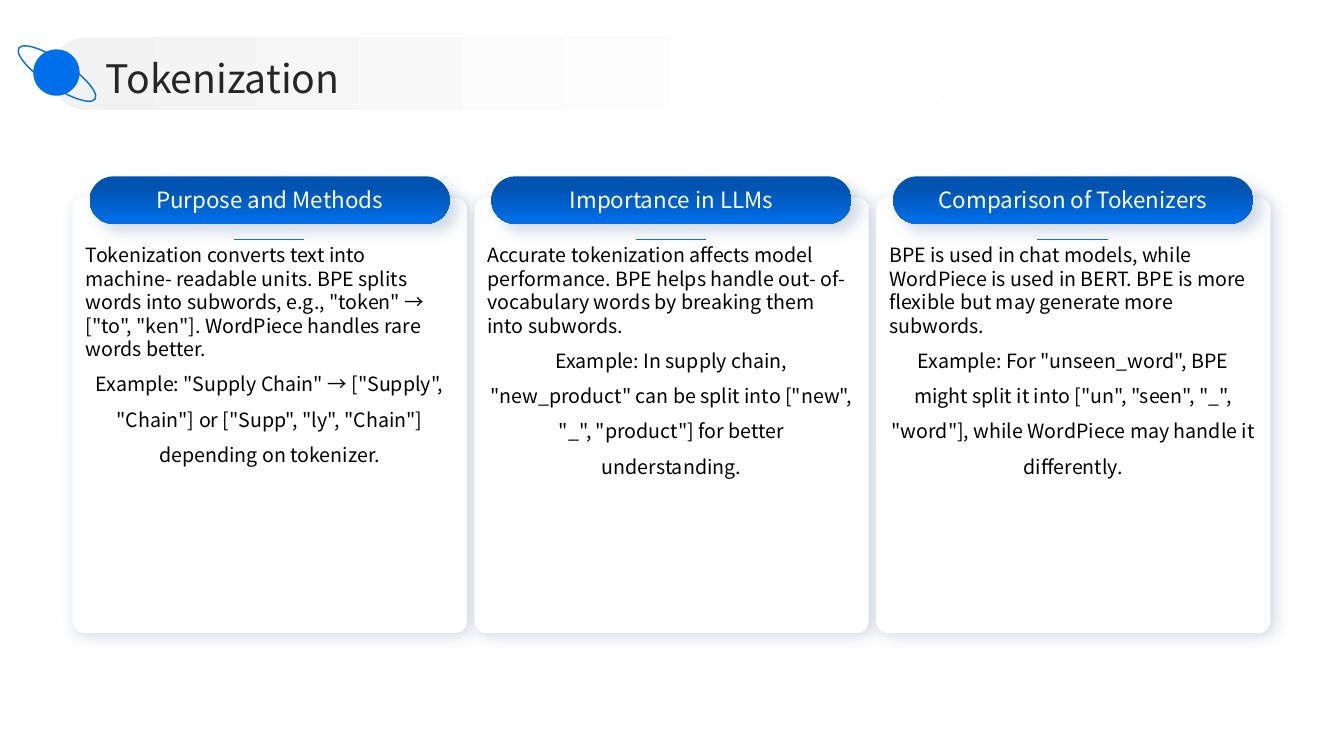
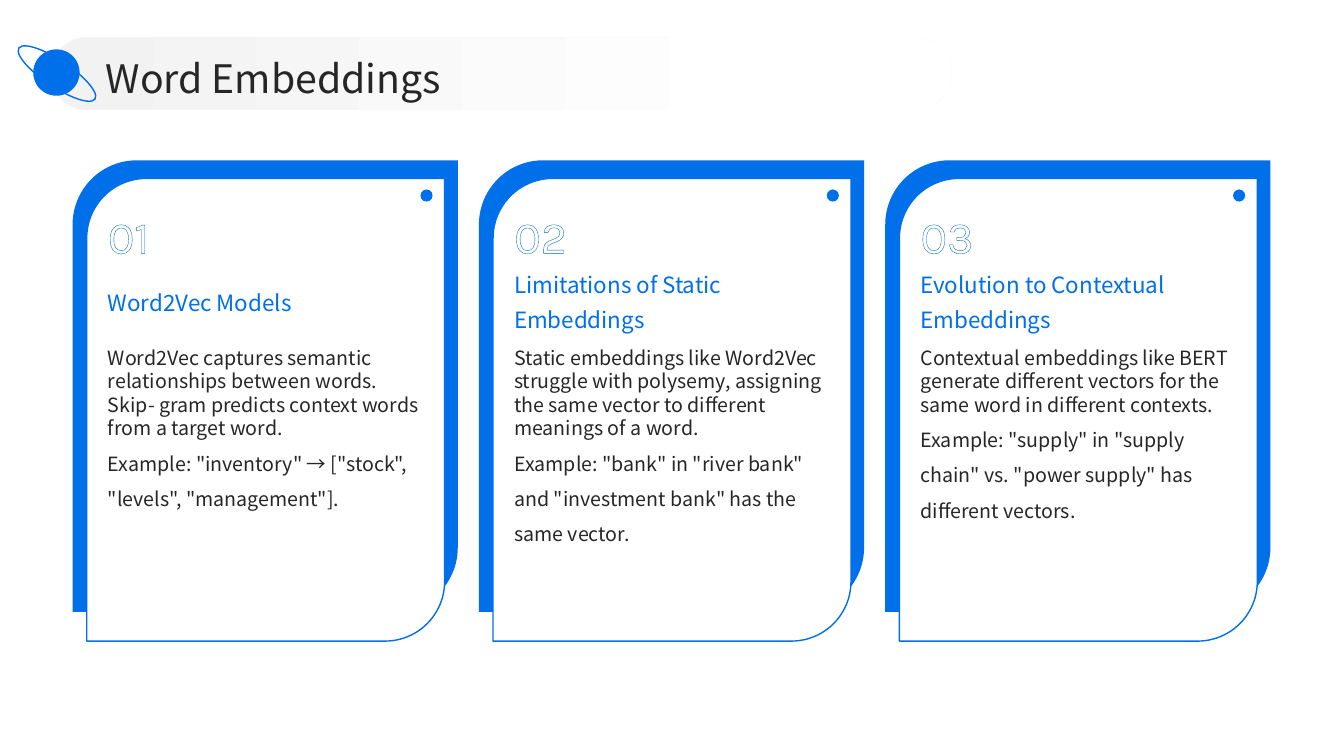
import pptx
import pptx.dml.color
import pptx.enum.shapes
import pptx.enum.text
import pptx.oxml
import pptx.oxml.ns
import pptx.util

Inches = pptx.util.Inches
Pt = pptx.util.Pt
RGBColor = pptx.dml.color.RGBColor
SHAPE = pptx.enum.shapes.MSO_SHAPE
ALIGN = pptx.enum.text.PP_ALIGN
ANCHOR = pptx.enum.text.MSO_ANCHOR

# Shared colours and fonts
BLUE = RGBColor(0x00, 0x6F, 0xEA)
DEEP_BLUE = RGBColor(0x00, 0x53, 0xB0)
OUTLINE_BLUE = RGBColor(0x00, 0x68, 0xBF)
SHADOW_BLUE = RGBColor(0x00, 0x37, 0x75)
WHITE = RGBColor(0xFF, 0xFF, 0xFF)
BLACK = RGBColor(0x00, 0x00, 0x00)
INK = RGBColor(0x26, 0x26, 0x26)
PALE_GREY = RGBColor(0xF2, 0xF2, 0xF2)
SANS = "Noto Sans CJK SC"

# Text styles: font values, colour and paragraph values
TITLE = ({"name": SANS, "size": Pt(28)}, INK,
         {"alignment": ALIGN.LEFT, "line_spacing": 1.1})
PILL = ({"name": SANS, "size": Pt(16)}, WHITE, {"alignment": ALIGN.CENTER})
HEADING = ({"name": SANS, "size": Pt(16)}, BLUE, {"line_spacing": 1.3})
NUMBER = ({"name": "Karla", "size": Pt(32)}, WHITE, {"line_spacing": 1.3})
BODY_FONT = {"name": SANS, "size": Pt(14)}
LEAD = {"alignment": ALIGN.LEFT, "line_spacing": 1.0}

# Content area shared by both rows of cards
LEFT, RIGHT = 0.72, 12.6

TOKEN_CARDS = [
    ("Purpose and Methods",
     'Tokenization converts text into machine- readable units. BPE splits words into '
     'subwords, e.g., "token" → ["to", "ken"]. WordPiece handles rare words better.',
     'Example: "Supply Chain" → ["Supply", "Chain"] or ["Supp", "ly", "Chain"] '
     'depending on tokenizer.'),
    ("Importance in LLMs",
     'Accurate tokenization affects model performance. BPE helps handle out- of- '
     'vocabulary words by breaking them into subwords.',
     'Example: In supply chain, "new_product" can be split into ["new", "_", "product"] '
     'for better understanding.'),
    ("Comparison of Tokenizers",
     'BPE is used in chat models, while WordPiece is used in BERT. BPE is more flexible '
     'but may generate more subwords.',
     'Example: For "unseen_word", BPE might split it into ["un", "seen", "_", "word"], '
     'while WordPiece may handle it differently.'),
]
EMBEDDING_CARDS = [
    ("Word2Vec Models",
     'Word2Vec captures semantic relationships between words. Skip- gram predicts '
     'context words from a target word.',
     'Example: "inventory" → ["stock", "levels", "management"].'),
    ("Limitations of Static Embeddings",
     'Static embeddings like Word2Vec struggle with polysemy, assigning the same vector '
     'to different meanings of a word.',
     'Example: "bank" in "river bank" and "investment bank" has the same vector.'),
    ("Evolution to Contextual Embeddings",
     'Contextual embeddings like BERT generate different vectors for the same word in '
     'different contexts.',
     'Example: "supply" in "supply chain" vs. "power supply" has different vectors.'),
]


def inches(*lengths):
    return [Inches(length) for length in lengths]


def card_lefts(width, count):
    """Left edges of equal cards spread over the content area."""
    pitch = (RIGHT - LEFT - width) / (count - 1)
    return [LEFT + pitch * column for column in range(count)]


# Shapes
def add_shape(shapes, kind, place, fill=None, line=None, corner=None):
    shape = shapes.add_shape(kind, *inches(*place))
    shape.shadow.inherit = False
    if fill is None:
        shape.fill.background()
    else:
        shape.fill.solid()
        shape.fill.fore_color.rgb = fill
    if line is None:
        shape.line.fill.background()
    else:
        shape.line.color.rgb = line
        shape.line.width = Pt(1)
    if corner is not None:
        shape.adjustments[0] = corner
    return shape


def set_gradient(shape, angle, stops):
    shape.fill.gradient()
    shape.fill.gradient_angle = angle
    for stop, (position, colour) in zip(shape.fill.gradient_stops, stops):
        stop.position = position
        stop.color.rgb = colour


def set_shadow(shape, blur, distance):
    effects = shape.element.spPr.find(pptx.oxml.ns.qn("a:effectLst"))
    effects.append(pptx.oxml.parse_xml(
        f'<a:outerShdw {pptx.oxml.ns.nsdecls("a")} blurRad="{Pt(blur)}" '
        f'dist="{Pt(distance)}" dir="2700000" algn="tl" rotWithShape="0">'
        f'<a:srgbClr val="{SHADOW_BLUE}"><a:alpha val="19000"/></a:srgbClr>'
        '</a:outerShdw>'))


def add_rule(slide, left, top, length):
    rule = slide.shapes.add_connector(
        pptx.enum.shapes.MSO_CONNECTOR.STRAIGHT, *inches(left, top, left + length, top))
    rule.line.color.rgb = BLUE
    rule.line.width = Pt(0.5)
    rule.element.spPr.append(pptx.oxml.parse_xml(
        f'<a:effectLst {pptx.oxml.ns.nsdecls("a")}/>'))


# Text
def write(box, paragraphs, anchor=ANCHOR.TOP):
    """Fill a box with (text, style) pairs, one paragraph each."""
    frame = box.text_frame
    values = {"word_wrap": True, "vertical_anchor": anchor,
              "auto_size": pptx.enum.text.MSO_AUTO_SIZE.NONE,
              "margin_left": 0, "margin_top": 0, "margin_right": 0, "margin_bottom": 0}
    for name, value in values.items():
        setattr(frame, name, value)
    for index, (text, (font, colour, layout)) in enumerate(paragraphs):
        para = frame.add_paragraph() if index else frame.paragraphs[0]
        for name, value in layout.items():
            setattr(para, name, value)
        span = para.add_run()
        span.text = text
        for name, value in font.items():
            setattr(span.font, name, value)
        span.font.color.rgb = colour


def add_text(slide, place, paragraphs, anchor=ANCHOR.TOP):
    box = slide.shapes.add_textbox(*inches(*place))
    write(box, paragraphs, anchor)
    return box


def add_body(slide, place, lead, example, colour, alignment):
    spread = {"alignment": alignment, "line_spacing": 1.5}
    add_text(slide, place, [(lead, (BODY_FONT, colour, LEAD)),
                            (example, (BODY_FONT, colour, spread))])


def add_outlined_number(slide, place, number):
    box = add_text(slide, place, [(f"{number:02d}", NUMBER)])
    properties = box.text_frame.paragraphs[0].runs[0].font._element
    properties.insert(0, pptx.oxml.parse_xml(
        f'<a:ln {pptx.oxml.ns.nsdecls("a")} w="{Pt(1.25)}"><a:solidFill>'
        f'<a:srgbClr val="{OUTLINE_BLUE}"/></a:solidFill></a:ln>'))


# Page with the shared title band and planet
def add_page(deck, title_text):
    page = deck.slides.add_slide(deck.slide_layouts.get_by_name("Title Only"))
    band = add_shape(page.shapes, SHAPE.ROUNDED_RECTANGLE, (0.5, 0.37, 8.94, 0.72),
                     PALE_GREY, corner=0.5)
    set_gradient(band, 0, [(0, PALE_GREY), (0.8, WHITE)])

    title = page.shapes.title
    title.left, title.top, title.width, title.height = inches(1.05, 0.49, 11.67, 0.51)
    write(title, [(title_text, TITLE)], ANCHOR.MIDDLE)
    page.shapes.element.append(title.element)  # in front of the band

    planet = page.shapes.add_group_shape()
    add_shape(planet.shapes, SHAPE.OVAL, (0.33, 0.49, 0.46, 0.46), BLUE)
    ring = add_shape(planet.shapes, SHAPE.OVAL, (0.11, 0.6, 0.91, 0.26), line=BLUE)
    ring.rotation = 33.8
    return page


# Cards
def add_pill_card(page, left, width, heading, lead, example):
    card = add_shape(page.shapes, SHAPE.ROUNDED_RECTANGLE, (left, 1.96, width, 4.32),
                     WHITE, corner=0.03)
    set_shadow(card, 12, 3)
    pill = add_shape(page.shapes, SHAPE.ROUNDED_RECTANGLE,
                     (left + 0.17, 1.75, width - 0.34, 0.47), BLUE, corner=0.5)
    set_gradient(pill, 270, [(0.24, DEEP_BLUE), (1, BLUE)])
    set_shadow(pill, 11, 8)
    write(pill, [(heading, PILL)], ANCHOR.MIDDLE)
    add_body(page, (left + 0.13, 2.41, width - 0.26, 3.77), lead, example,
             BLACK, ALIGN.CENTER)
    add_rule(page, left + 1.6, 2.37, 0.7)


def add_leaf_card(page, left, width, number, heading, lead, example):
    text_left, text_width = left + 0.35, 3.16
    add_shape(page.shapes, SHAPE.ROUND_2_DIAG_RECTANGLE, (left, 1.59, width, 4.48), BLUE)
    add_shape(page.shapes, SHAPE.ROUND_2_DIAG_RECTANGLE,
              (left + 0.14, 1.77, width - 0.27, 4.59), WHITE, BLUE)
    add_shape(page.shapes, SHAPE.OVAL, (left + 3.45, 1.88, 0.12, 0.12), BLUE)
    add_outlined_number(page, (text_left, 1.91, 0.91, 0.57), number)
    add_text(page, (text_left, 2.58, text_width, 0.76), [(heading, HEADING)],
             ANCHOR.MIDDLE)
    add_body(page, (text_left, 3.43, text_width, 2.42), lead, example, INK, ALIGN.LEFT)


def main():
    deck = pptx.Presentation()
    deck.slide_width, deck.slide_height = inches(13.33, 7.5)

    page = add_page(deck, "Tokenization")
    width = 3.91
    for left, card in zip(card_lefts(width, len(TOKEN_CARDS)), TOKEN_CARDS):
        add_pill_card(page, left, width, *card)

    page = add_page(deck, "Word Embeddings")
    width = 3.82
    lefts = card_lefts(width, len(EMBEDDING_CARDS))
    for number, (left, card) in enumerate(zip(lefts, EMBEDDING_CARDS), start=1):
        add_leaf_card(page, left, width, number, *card)

    deck.save("out.pptx")


if __name__ == "__main__":
    main()
